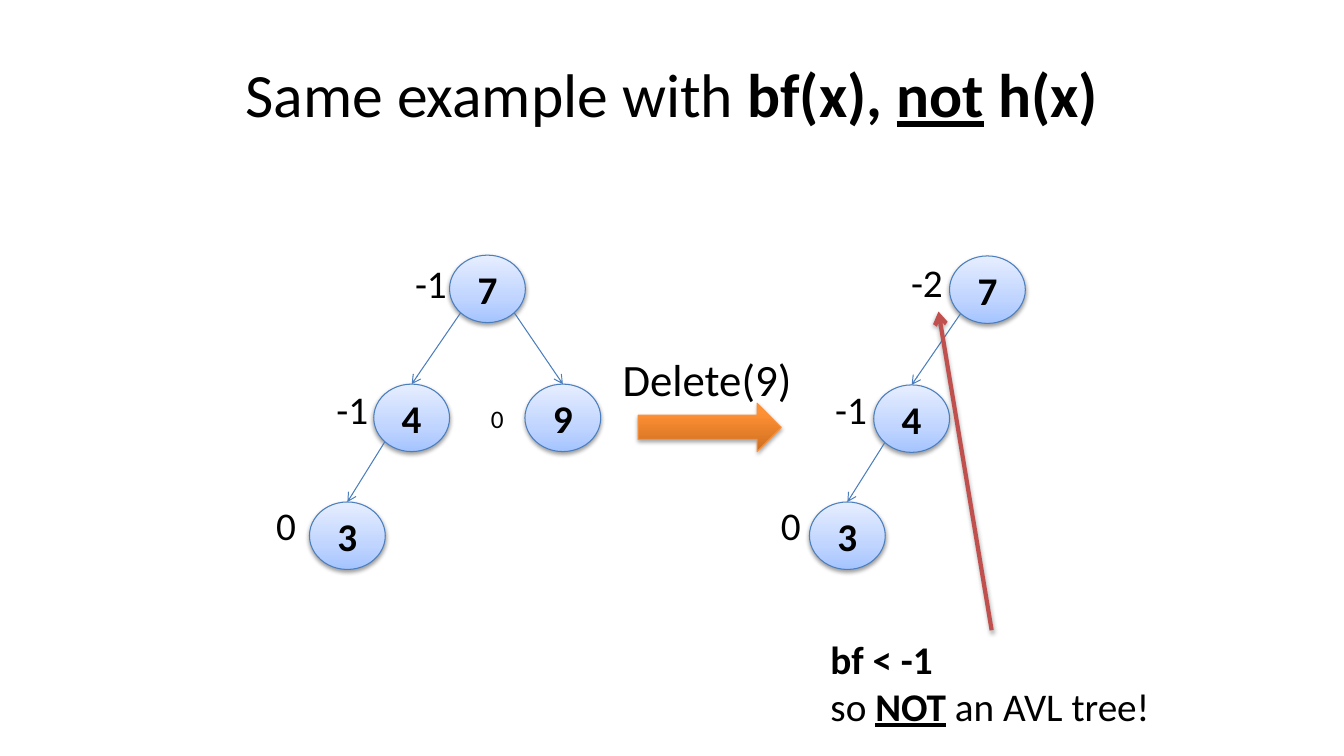
from dataclasses import dataclass

from lxml import etree
from pptx import Presentation
from pptx.dml.color import RGBColor
from pptx.enum.shapes import MSO_CONNECTOR, MSO_SHAPE
from pptx.enum.text import MSO_ANCHOR, MSO_AUTO_SIZE, PP_ALIGN
from pptx.oxml.ns import qn
from pptx.shapes.autoshape import Shape
from pptx.shapes.connector import Connector
from pptx.slide import Slide
from pptx.util import Cm, Pt

ELLIPSE = MSO_SHAPE.OVAL
RIGHT_ARROW = MSO_SHAPE.RIGHT_ARROW
STRAIGHT = MSO_CONNECTOR.STRAIGHT
MIDDLE = MSO_ANCHOR.MIDDLE
TOP = MSO_ANCHOR.TOP
CENTER = PP_ALIGN.CENTER
LEFT = PP_ALIGN.LEFT
FIT_SHAPE = MSO_AUTO_SIZE.SHAPE_TO_FIT_TEXT

NODE_WIDTH = 1.91
NODE_HEIGHT = 1.7
DIAGONAL = 0.5 ** 0.5 / 2


@dataclass(frozen=True)
class Shadow:
    opacity: int
    distance: float
    blur: float = 3.15


@dataclass(frozen=True)
class Theme:
    font: str = "Calibri"
    text: str = "000000"
    node_line: str = "4B7EBC"
    arrow_line: str = "F69240"
    pointer: str = "C0504D"
    node_stops: tuple = ((0, "A4C4FF"), (35, "BFD4FF"), (100, "E6EEFF"))
    arrow_stops: tuple = ((0, "CC6E20"), (80, "FF9034"), (100, "FF9136"))
    title_size: int = 44
    action_size: int = 32
    body_size: int = 28
    small_size: int = 18
    thin: float = 0.75
    thick: float = 3
    node_shadow: Shadow = Shadow(38, 1.57)
    arrow_shadow: Shadow = Shadow(35, 1.81)


THEME = Theme()


@dataclass(frozen=True)
class Span:
    text: str
    bold: bool = False
    underline: bool = False


@dataclass(frozen=True)
class Label:
    left: float
    top: float
    width: float
    height: float
    lines: tuple[tuple[Span, ...], ...]
    size: int = THEME.body_size


@dataclass(frozen=True)
class Node:
    key: str
    left: float
    top: float
    balance: Label
    parent: "Node | None" = None


def balance(text: str, left: float, top: float, width: float = 1.32,
            height: float = 1.45, size: int = THEME.body_size) -> Label:
    return Label(left, top, width, height, ((Span(text),),), size)


def make_trees() -> list[Node]:
    before_7 = Node("7", 11.33, 6.43, balance("-1", 10.21, 6.4))
    before_4 = Node("4", 9.42, 9.68, balance("-1", 8.23, 9.58), before_7)
    before_3 = Node("3", 7.8, 12.65, balance("0", 6.71, 12.52, 1.02), before_4)
    small_zero = balance("0", 12.12, 10.03, 0.84, 1.02, THEME.small_size)
    before_9 = Node("9", 13.23, 9.68, small_zero, before_7)
    after_7 = Node("7", 23.93, 6.45, balance("-2", 22.71, 6.38))
    after_4 = Node("4", 22.02, 9.7, balance("-1", 20.8, 9.58), after_7)
    after_3 = Node("3", 20.4, 12.65, balance("0", 19.43, 12.5, 1.02), after_4)
    return [before_7, before_4, before_3, before_9, after_7, after_4, after_3]


def add_color(parent: etree._Element, color: str) -> etree._Element:
    return etree.SubElement(parent, qn("a:srgbClr"), val=color)


def add_shadow(effects: etree._Element, shadow: Shadow) -> None:
    outer = etree.SubElement(
        effects, qn("a:outerShdw"), blurRad=str(Pt(shadow.blur)),
        dist=str(Pt(shadow.distance)), dir="5400000", rotWithShape="0")
    color = add_color(outer, THEME.text)
    etree.SubElement(color, qn("a:alpha"), val=str(shadow.opacity * 1000))


def add_glossy_shape(page: Slide, kind: MSO_SHAPE, left: float, top: float,
                     width: float, height: float, stops: tuple,
                     line: str, shadow: Shadow) -> Shape:
    shape = page.shapes.add_shape(kind, Cm(left), Cm(top), Cm(width), Cm(height))
    shape.fill.gradient()
    shape.fill.gradient_angle = 90
    properties = shape.element.spPr
    stop_list = properties.find(qn("a:gradFill")).find(qn("a:gsLst"))
    for old_stop in list(stop_list):
        stop_list.remove(old_stop)
    for position, color in stops:
        stop = etree.SubElement(stop_list, qn("a:gs"), pos=str(position * 1000))
        add_color(stop, color)
    shape.line.color.rgb = RGBColor.from_string(line)
    shape.line.width = Pt(THEME.thin)
    shape.shadow.inherit = False
    add_shadow(properties.find(qn("a:effectLst")), shadow)
    return shape


def add_arrow(page: Slide, start: tuple[float, float], end: tuple[float, float],
              color: str, width: float, shadow: Shadow | None = None) -> Connector:
    arrow = page.shapes.add_connector(
        STRAIGHT, *(Cm(value) for value in start + end))
    arrow.line.color.rgb = RGBColor.from_string(color)
    arrow.line.width = Pt(width)
    properties = arrow.element.spPr
    etree.SubElement(properties.find(qn("a:ln")), qn("a:tailEnd"), type="arrow")
    effects = etree.SubElement(properties, qn("a:effectLst"))
    if shadow:
        add_shadow(effects, shadow)
    return arrow


def write(box: Shape, lines: tuple[tuple[Span, ...], ...], size: int,
          align: PP_ALIGN, anchor: MSO_ANCHOR, wrap: bool) -> None:
    frame = box.text_frame
    frame.word_wrap = wrap
    frame.vertical_anchor = anchor
    for index, spans in enumerate(lines):
        para = frame.add_paragraph() if index else frame.paragraphs[0]
        para.alignment = align
        para.font.name = THEME.font
        para.font.size = Pt(size)
        para.font.color.rgb = RGBColor.from_string(THEME.text)
        for span in spans:
            run = para.add_run()
            run.text = span.text
            run.font.bold = span.bold
            run.font.underline = span.underline


def add_label(page: Slide, label: Label) -> None:
    box = page.shapes.add_textbox(
        Cm(label.left), Cm(label.top), Cm(label.width), Cm(label.height))
    write(box, label.lines, label.size, LEFT, TOP, False)
    box.text_frame.auto_size = FIT_SHAPE


def add_node(page: Slide, node: Node) -> None:
    circle = add_glossy_shape(
        page, ELLIPSE, node.left, node.top, NODE_WIDTH, NODE_HEIGHT,
        THEME.node_stops, THEME.node_line, THEME.node_shadow)
    write(circle, ((Span(node.key, bold=True),),), THEME.body_size, CENTER, MIDDLE, True)
    add_label(page, node.balance)
    if node.parent:
        side = 1 if node.left > node.parent.left else -1
        start = (node.parent.left + NODE_WIDTH * (0.5 + side * DIAGONAL),
                 node.parent.top + NODE_HEIGHT * (0.5 + DIAGONAL))
        end = (node.left + NODE_WIDTH / 2, node.top)
        add_arrow(page, start, end, THEME.node_line, THEME.thin)


def main() -> None:
    deck = Presentation()
    deck.slide_width, deck.slide_height = Cm(33.87), Cm(19.05)
    page = deck.slides.add_slide(deck.slide_layouts[6])
    title = page.shapes.add_textbox(Cm(1.69), Cm(0.76), Cm(30.48), Cm(3.18))
    heading = (Span("Same example with "), Span("bf(x), ", True),
               Span("not", True, True), Span(" h(x)", True))
    write(title, (heading,), THEME.title_size, CENTER, MIDDLE, True)
    for node in make_trees():
        add_node(page, node)
    add_glossy_shape(page, RIGHT_ARROW, 16.08, 10.16, 3.61, 1.22,
                     THEME.arrow_stops, THEME.arrow_line, THEME.arrow_shadow)
    add_label(page, Label(15.44, 8.74, 4.83, 1.62, ((Span("Delete(9)"),),),
                          THEME.action_size))
    add_arrow(page, (24.99, 15.88), (23.65, 7.85), THEME.pointer,
              THEME.thick, THEME.arrow_shadow)
    verdict = ((Span("bf < -1", True),),
               (Span("so "), Span("NOT", True, True), Span(" an AVL tree!")))
    add_label(page, Label(20.68, 15.88, 8.64, 2.64, verdict))
    deck.save("out.pptx")


if __name__ == "__main__":
    main()
